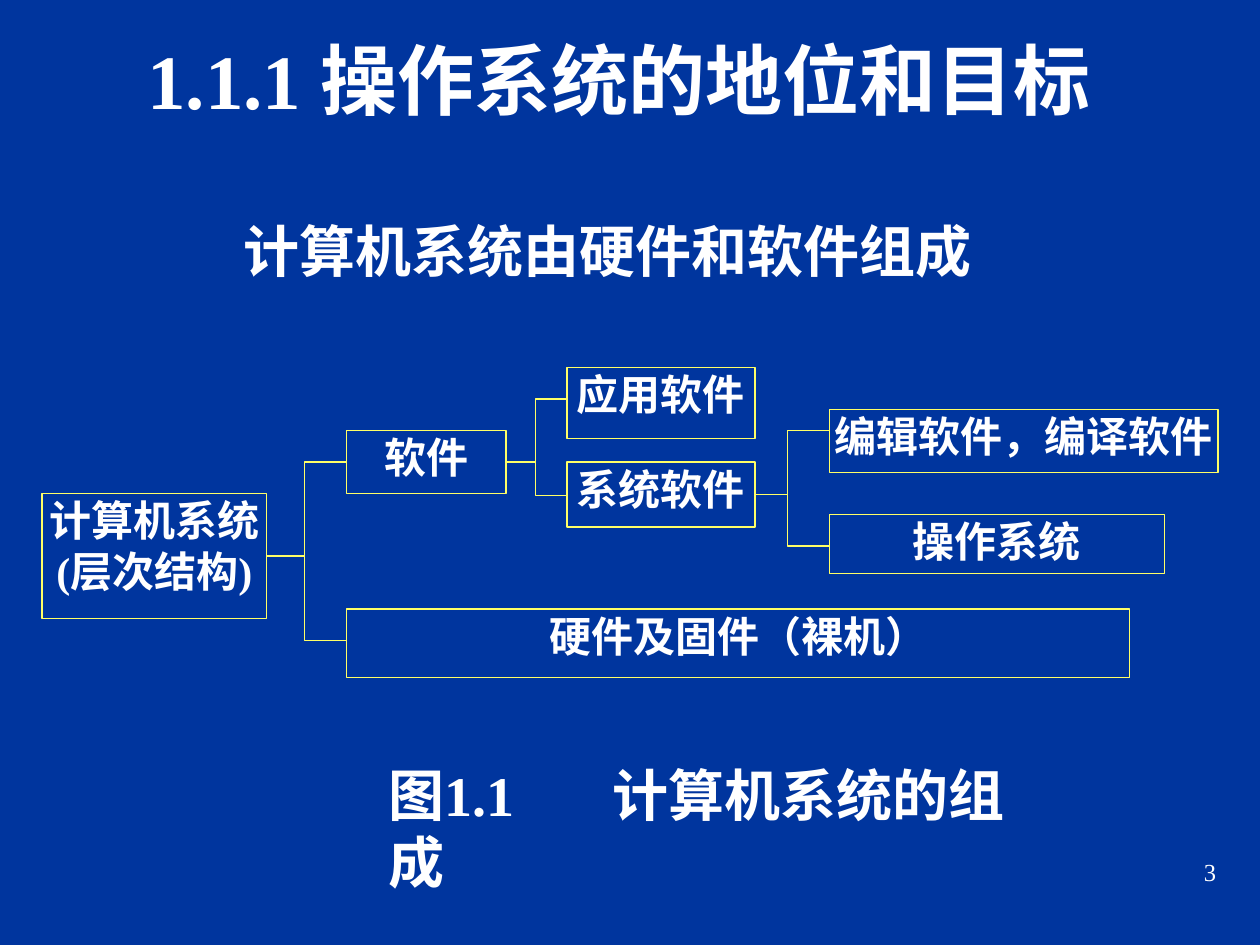
from lxml.etree import SubElement
from pptx import Presentation
from pptx.dml.color import RGBColor as Rgb
from pptx.enum.shapes import MSO_CONNECTOR as Link, MSO_SHAPE as Shape
from pptx.enum.text import MSO_ANCHOR as Anchor, MSO_AUTO_SIZE as Fit, PP_ALIGN as Align
from pptx.oxml.ns import qn
from pptx.util import Inches, Pt

COLORS = {"back": "00359E", "line": "FFFF66", "text": "FFFFFF"}
FONT = "Times New Roman"
CELL = Inches(1) / 12  # the slide is 120 columns by 90 rows


def grid(*cells):
    return [round(cell * CELL) for cell in cells]


def color(name):
    return Rgb.from_string(COLORS[name])


class Slide:
    def __init__(self, deck):
        self.slide = deck.slides.add_slide(deck.slide_layouts[6])
        self.shapes = self.slide.shapes
        fill = self.slide.background.fill
        fill.solid()
        fill.fore_color.rgb = color("back")

    def set_text(self, frame, text, size, bold=True, align=Align.CENTER):
        frame.text = text
        for par in frame.paragraphs:
            par.alignment = align
            for run in par.runs:
                font = run.font
                font.name, font.size, font.bold = FONT, Pt(size), bold
                font.color.rgb = color("text")

    def outline(self, item):
        item.line.color.rgb = color("line")
        item.line.width = Pt(0.75)

    def label(self, text, area, size, **style):
        frame = self.shapes.add_textbox(*grid(*area)).text_frame
        frame.word_wrap = True
        self.set_text(frame, text, size, **style)
        return frame

    def box(self, text, *area):
        box = self.shapes.add_shape(Shape.RECTANGLE, *grid(*area))
        box.shadow.inherit = False
        box.fill.background()
        self.outline(box)
        frame = box.text_frame
        frame.vertical_anchor = Anchor.TOP
        frame.margin_left = frame.margin_right = Inches(0.01)
        frame.margin_top = frame.margin_bottom = Inches(0.01)
        self.set_text(frame, text, 24)
        return box

    def branch(self, box, spine, tip, top, low):
        """Join a box to a bracket that opens towards its parts."""
        mid = box.top + box.height // 2
        stem = self.shapes.add_connector(
            Link.STRAIGHT, box.left + box.width, mid, *grid(spine), mid)
        stem.begin_connect(box, 3)
        SubElement(stem.element.spPr, qn("a:effectLst"))
        self.outline(stem)
        fork = self.shapes.build_freeform(*grid(tip, top))
        fork.add_line_segments(
            [grid(spine, top), grid(spine, low), grid(tip, low)], close=False)
        fork = fork.convert_to_shape()
        fork.shadow.inherit = False
        fork.fill.background()
        self.outline(fork)


def main():
    deck = Presentation()
    deck.slide_width, deck.slide_height = grid(120, 90)
    page = Slide(deck)

    title = page.label("1.1.1 操作系统的地位和目标", (8, 0, 102, 15), 44)
    title.vertical_anchor = Anchor.MIDDLE
    lead = page.label("计算机系统由硬件和软件组成", (10, 20, 104, 7.7), 32, align=Align.LEFT)
    lead.margin_left = Inches(1.1)

    root = page.box("计算机系统\n(层次结构)", 4, 47, 21.4, 11.9)
    soft = page.box("软件", 33, 41, 15.2, 6)
    page.box("硬件及固件（裸机）", 33, 58, 74.6, 6.5)
    page.box("应用软件", 54, 35, 17.9, 6.8)
    system = page.box("系统软件", 54, 44, 17.9, 6.2)
    page.box("编辑软件，编译软件", 79, 39, 37, 6)
    page.box("操作系统", 79, 49, 31.9, 5.6)

    page.branch(root, 29, 33, 44, 61)
    page.branch(soft, 51, 54, 38, 47.2)
    page.branch(system, 75, 79, 41, 52)

    note = page.label("图1.1\t计算机系统的组成", (35.8, 71.8, 66.4, 7.7), 32, align=Align.LEFT)
    note.word_wrap = False
    note.auto_size = Fit.SHAPE_TO_FIT_TEXT
    tabs = SubElement(note.paragraphs[0]._p.get_or_add_pPr(), qn("a:tabLst"))
    SubElement(tabs, qn("a:tab"), pos=str(Inches(1.78)), algn="l")

    page.label("3", (92, 81, 25, 6), 14, bold=False, align=Align.RIGHT)
    deck.save("out.pptx")


if __name__ == "__main__":
    main()
